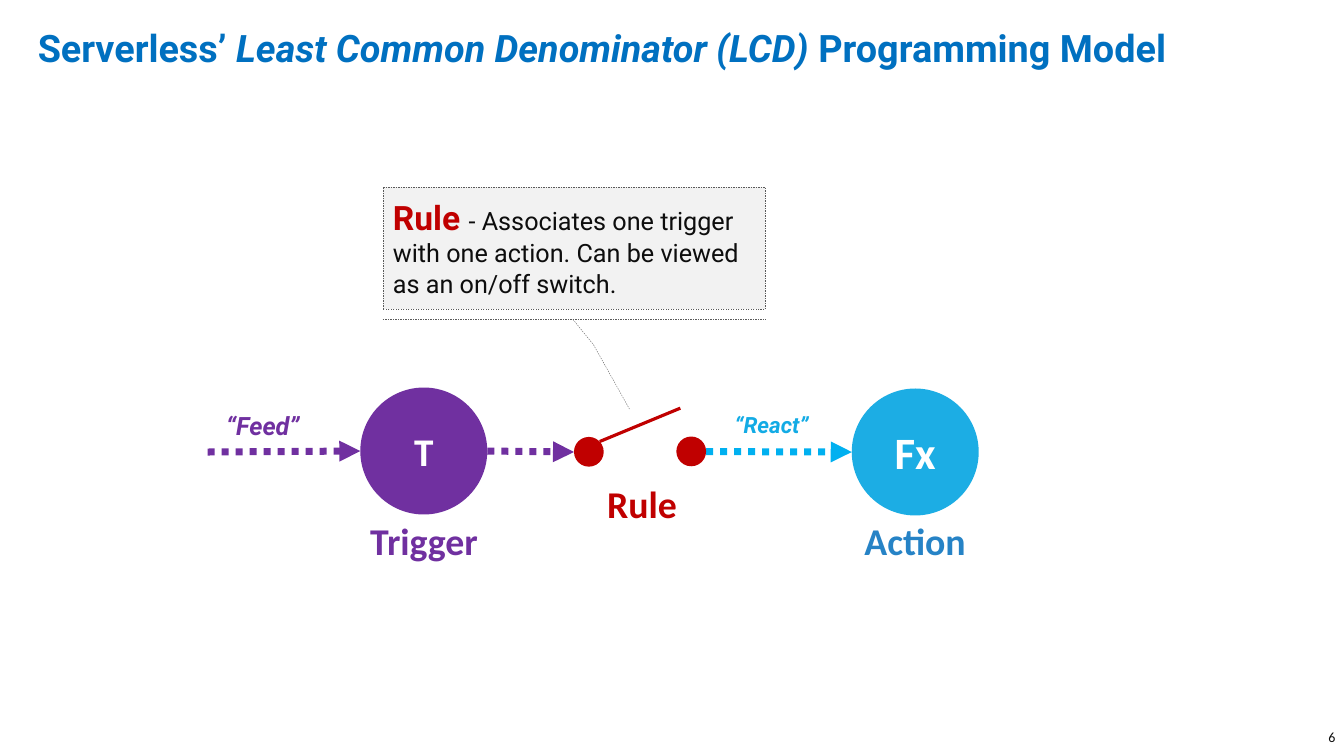
from dataclasses import dataclass

from lxml import etree
from pptx import Presentation
from pptx.dml.color import RGBColor
from pptx.enum.dml import MSO_LINE
from pptx.enum.shapes import MSO_CONNECTOR, MSO_SHAPE
from pptx.enum.text import MSO_ANCHOR, MSO_AUTO_SIZE, PP_ALIGN
from pptx.oxml.ns import qn
from pptx.util import Cm, Pt

STRAIGHT = MSO_CONNECTOR.STRAIGHT
CALLOUT = MSO_SHAPE.LINE_CALLOUT_2_BORDER_AND_ACCENT_BAR
CIRCLE = MSO_SHAPE.OVAL
TERMINAL = MSO_SHAPE.FLOWCHART_CONNECTOR
DOTTED, DASHED = MSO_LINE.ROUND_DOT, MSO_LINE.DASH
LEFT, CENTER, RIGHT = PP_ALIGN.LEFT, PP_ALIGN.CENTER, PP_ALIGN.RIGHT
TOP, MIDDLE = MSO_ANCHOR.TOP, MSO_ANCHOR.MIDDLE
NO_AUTOSIZE = MSO_AUTO_SIZE.NONE

COLORS = {
    "title": "0070C0",
    "trigger": "7030A0",
    "rule": "C00000",
    "action": "1CADE4",
    "action_name": "2683C6",
    "react": "12ABE5",
    "react_arrow": "00B0F0",
    "ink": "0D0D0D",
    "note": "F2F2F2",
    "note_border": "595959",
    "white": "FFFFFF",
}
NODE_SIZE = 6.4
TERMINAL_SIZE = 1.5


@dataclass
class Style:
    size: float
    color: str
    font: str = "Calibri"
    bold: bool = True
    italic: bool = False


@dataclass
class Label:
    text: str
    left: float
    top: float
    width: float
    height: float
    style: Style
    align: PP_ALIGN = CENTER
    inset: tuple[float, float] = (0.25, 0.13)


@dataclass
class Node:
    text: str
    left: float
    top: float
    color: str
    size: float


@dataclass
class Wire:
    start: tuple[float, float]
    end: tuple[float, float]
    color: str
    width: float = 10
    arrow: bool = True


def rgb(name: str) -> RGBColor:
    return RGBColor.from_string(COLORS[name])


def style_run(run, style: Style) -> None:
    font = run.font
    font.name = style.font
    font.size = Pt(style.size)
    font.bold = style.bold
    font.italic = style.italic
    font.color.rgb = rgb(style.color)


def add_runs(paragraph, parts: list[tuple[str, Style]]) -> None:
    for text, style in parts:
        run = paragraph.add_run()
        run.text = text
        style_run(run, style)


def set_insets(frame, horizontal: float, vertical: float) -> None:
    frame.margin_left = frame.margin_right = Cm(horizontal)
    frame.margin_top = frame.margin_bottom = Cm(vertical)


def add_label(slide, label: Label) -> None:
    box = slide.shapes.add_textbox(
        Cm(label.left), Cm(label.top), Cm(label.width), Cm(label.height))
    frame = box.text_frame
    set_insets(frame, *label.inset)
    frame.text = label.text
    frame.paragraphs[0].alignment = label.align
    style_run(frame.paragraphs[0].runs[0], label.style)


def add_disc(slide, kind: MSO_SHAPE, left: float, top: float, size: float, color: str):
    disc = slide.shapes.add_shape(kind, Cm(left), Cm(top), Cm(size), Cm(size))
    disc.shadow.inherit = False
    disc.fill.solid()
    disc.fill.fore_color.rgb = rgb(color)
    disc.line.fill.background()
    return disc


def add_node(slide, node: Node) -> None:
    disc = add_disc(slide, CIRCLE, node.left, node.top, NODE_SIZE, node.color)
    frame = disc.text_frame
    frame.vertical_anchor = MIDDLE
    frame.text = node.text
    frame.paragraphs[0].alignment = CENTER
    style_run(frame.paragraphs[0].runs[0], Style(node.size, "white"))


def add_wire(slide, wire: Wire) -> None:
    (x1, y1), (x2, y2) = wire.start, wire.end
    connector = slide.shapes.add_connector(STRAIGHT, Cm(x1), Cm(y1), Cm(x2), Cm(y2))
    connector.line.color.rgb = rgb(wire.color)
    connector.line.width = Pt(wire.width)
    if wire.arrow:
        connector.line.dash_style = DOTTED
        line = connector.line._get_or_add_ln()
        line.find(qn("a:prstDash")).set("val", "sysDot")
        etree.SubElement(line, qn("a:tailEnd"), type="triangle")
    etree.SubElement(connector.element.spPr, qn("a:effectLst"))


def add_rule_note(slide) -> None:
    note = slide.shapes.add_shape(CALLOUT, Cm(25.86), Cm(2.87), Cm(6.15), Cm(19.28))
    note.rotation = 270
    for index, value in enumerate((0.497, -0.083, 0.551, -0.292, 0.646, -0.824)):
        note.adjustments[index] = value
    note.shadow.inherit = False
    note.fill.solid()
    note.fill.fore_color.rgb = rgb("note")
    note.line.color.rgb = rgb("note_border")
    note.line.width = Pt(0.5)
    note.line.dash_style = DASHED
    frame = note.text_frame
    frame.word_wrap = True
    frame.vertical_anchor = TOP
    set_insets(frame, 0.51, 0.51)
    note.element.txBody.find(qn("a:bodyPr")).set("vert", "vert")
    frame.paragraphs[0].alignment = LEFT
    add_runs(frame.paragraphs[0], [
        ("Rule ", Style(48, "rule", "Roboto")),
        ("- Associates one trigger with one action. Can be viewed as an on/off switch.",
         Style(36, "ink", "Roboto", bold=False)),
    ])


def format_title(title) -> None:
    title.left, title.top, title.width, title.height = Cm(1.65), Cm(1.32), Cm(65.02), Cm(2.39)
    frame = title.text_frame
    frame.auto_size = NO_AUTOSIZE
    frame.vertical_anchor = MIDDLE
    paragraph = frame.paragraphs[0]
    paragraph.alignment = LEFT
    paragraph.line_spacing = 0.9
    plain = Style(54, "title", "Roboto")
    add_runs(paragraph, [
        ("Serverless’ ", plain),
        ("Least Common Denominator (LCD) ", Style(54, "title", "Roboto", italic=True)),
        ("Programming Model", plain),
    ])


NODES = [
    Node("T", 18.16, 19.53, "trigger", 56),
    Node("Fx", 42.93, 19.58, "action", 64),
]
WIRES = [
    Wire((10.46, 22.78), (18.16, 22.73), "trigger"),
    Wire((24.56, 22.73), (28.93, 22.78), "trigger"),
    Wire((35.59, 22.76), (42.93, 22.78), "react_arrow"),
    Wire((30.23, 22.25), (34.29, 20.57), "rule", 4.5, arrow=False),
]
TERMINALS = [(28.93, 22.02), (34.09, 22.0)]
LABELS = [
    Label("Trigger", 16.56, 25.96, 9.63, 2.57, Style(54, "trigger")),
    Label("Rule", 30.33, 24.1, 4.06, 2.57, Style(54, "rule")),
    Label("Action", 43.28, 25.98, 5.69, 2.57, Style(54, "action_name")),
    Label("“Feed”", 11.15, 20.57, 4.65, 1.8, Style(36, "trigger", "Roboto", italic=True), LEFT),
    Label("“React”", 36.78, 20.57, 4.67, 1.63, Style(32, "react", "Roboto", italic=True), LEFT),
    Label("6", 55.5, 36.7, 11.81, 1.02, Style(20, "ink", bold=False), RIGHT, (0, 0)),
]


def main() -> None:
    deck = Presentation()
    deck.slide_width, deck.slide_height = Cm(67.74), Cm(38.1)
    slide = deck.slides.add_slide(deck.slide_layouts[5])
    format_title(slide.shapes.title)
    add_rule_note(slide)
    for node in NODES:
        add_node(slide, node)
    for wire in WIRES:
        add_wire(slide, wire)
    for left, top in TERMINALS:
        add_disc(slide, TERMINAL, left, top, TERMINAL_SIZE, "rule")
    for label in LABELS:
        add_label(slide, label)
    deck.save("out.pptx")


if __name__ == "__main__":
    main()
